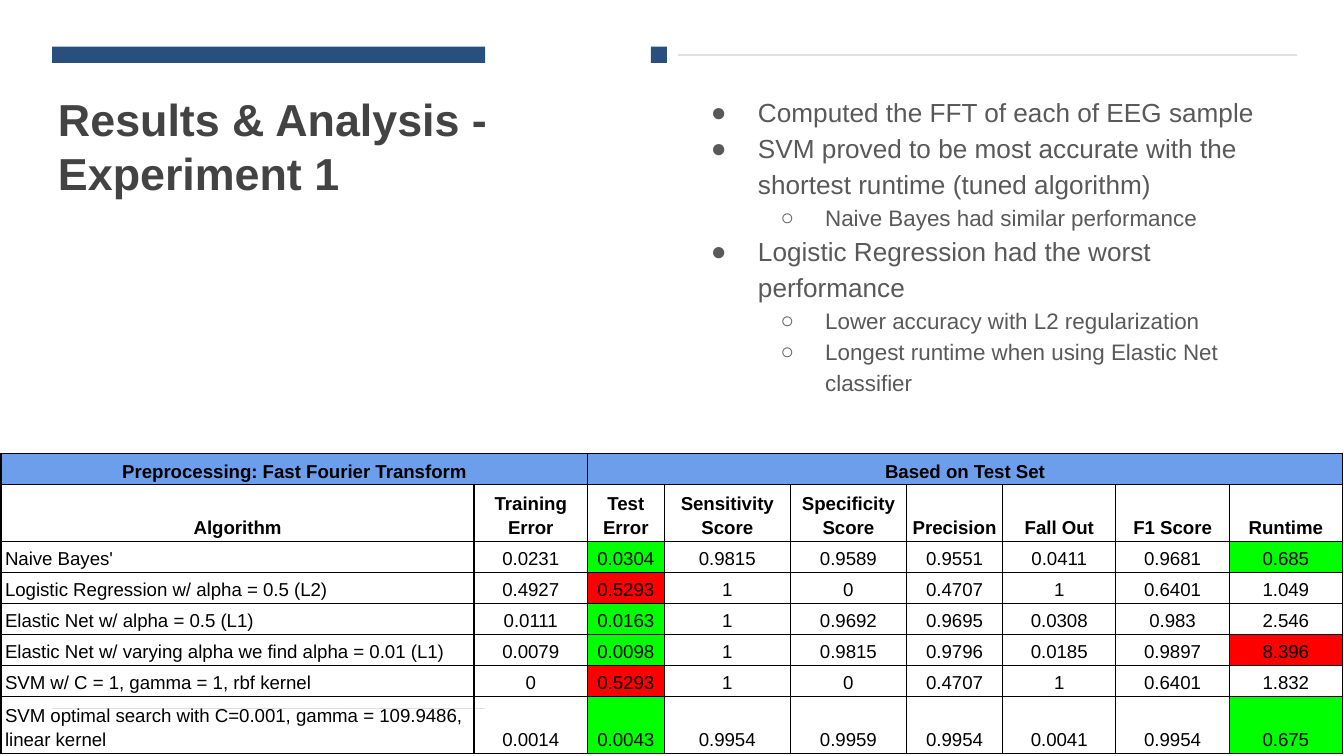
from lxml.etree import SubElement
from pptx import Presentation
from pptx.dml.color import RGBColor
from pptx.enum.shapes import MSO_CONNECTOR, MSO_SHAPE
from pptx.enum.text import MSO_ANCHOR, PP_ALIGN
from pptx.oxml.ns import qn
from pptx.util import Pt

NAVY = RGBColor(0x28, 0x4F, 0x7D)
RULE_GRAY = RGBColor(0xE0, 0xE0, 0xE0)
TITLE_GRAY = RGBColor(0x43, 0x43, 0x43)
BODY_GRAY = RGBColor(0x59, 0x59, 0x59)
HEADER_BLUE = RGBColor(0x6D, 0x9E, 0xEB)
BEST_GREEN = RGBColor(0x00, 0xFF, 0x00)
WORST_RED = RGBColor(0xFF, 0x00, 0x00)
BLACK = RGBColor(0x00, 0x00, 0x00)


def add_text_frame(page, left, top, width, height):
    frame = page.shapes.add_textbox(Pt(left), Pt(top), Pt(width), Pt(height)).text_frame
    frame.word_wrap = True
    frame.margin_left = frame.margin_right = Pt(7.2)
    frame.margin_top = frame.margin_bottom = Pt(7.2)
    return frame


def set_font(paragraph, size, color, bold=False):
    font = paragraph.font
    font.name = "Arial"
    font.size = Pt(size)
    font.bold = bold
    font.color.rgb = color


deck = Presentation()
deck.slide_width, deck.slide_height = Pt(720), Pt(405)
page = deck.slides.add_slide(deck.slide_layouts[6])

# Rules and accent bars
for left, right, y in [(28, 260, 379.6), (363.4, 695, 29.5)]:
    rule = page.shapes.add_connector(
        MSO_CONNECTOR.STRAIGHT, Pt(left), Pt(y), Pt(right), Pt(y))
    rule.line.color.rgb = RULE_GRAY
    rule.line.width = Pt(0.75)
    SubElement(rule._element.spPr, qn("a:effectLst"))

for left, width in [(348.7, 8.6), (28, 232)]:
    bar = page.shapes.add_shape(
        MSO_SHAPE.RECTANGLE, Pt(left), Pt(25), Pt(width), Pt(8.8))
    bar.shadow.inherit = False
    bar.fill.solid()
    bar.fill.fore_color.rgb = NAVY
    bar.line.fill.background()

# Title
title = add_text_frame(page, 24, 42, 247.7, 125).paragraphs[0]
title.text = "Results & Analysis - Experiment 1"
set_font(title, 24, TITLE_GRAY, bold=True)

# Findings: level and text
findings = [
    (0, "Computed the FFT of each of EEG sample"),
    (0, "SVM proved to be most accurate with the shortest runtime (tuned algorithm)"),
    (1, "Naive Bayes had similar performance"),
    (0, "Logistic Regression had the worst performance"),
    (1, "Lower accuracy with L2 regularization"),
    (1, "Longest runtime when using Elastic Net classifier"),
]
LEVELS = [(36, 25.2, "●", 14), (72, 23.8, "○", 12)]
body = add_text_frame(page, 363, 42, 342.7, 193)
for index, (level, text) in enumerate(findings):
    paragraph = body.paragraphs[0] if index == 0 else body.add_paragraph()
    paragraph.text = text
    paragraph.level = level
    paragraph.line_spacing = 1.15
    margin, hanging, bullet, size = LEVELS[level]
    properties = paragraph._p.get_or_add_pPr()
    properties.set("marL", str(Pt(margin)))
    properties.set("indent", str(-Pt(hanging)))
    bullet_color = SubElement(properties, qn("a:buClr"))
    SubElement(bullet_color, qn("a:srgbClr"), val=str(BODY_GRAY))
    SubElement(properties, qn("a:buFont"), typeface="Arial")
    SubElement(properties, qn("a:buChar"), char=bullet)
    set_font(paragraph, size, BODY_GRAY)

# Results table
rows = [
    ["Preprocessing: Fast Fourier Transform", "", "Based on Test Set"] + [""] * 6,
    ["Algorithm", "Training Error", "Test Error", "Sensitivity Score",
     "Specificity Score", "Precision", "Fall Out", "F1 Score", "Runtime"],
    ["Naive Bayes'", "0.0231", "0.0304", "0.9815", "0.9589",
     "0.9551", "0.0411", "0.9681", "0.685"],
    ["Logistic Regression w/ alpha = 0.5 (L2)", "0.4927", "0.5293", "1", "0",
     "0.4707", "1", "0.6401", "1.049"],
    ["Elastic Net w/ alpha = 0.5 (L1)", "0.0111", "0.0163", "1", "0.9692",
     "0.9695", "0.0308", "0.983", "2.546"],
    ["Elastic Net w/ varying alpha we find alpha = 0.01 (L1)", "0.0079", "0.0098",
     "1", "0.9815", "0.9796", "0.0185", "0.9897", "8.396"],
    ["SVM w/ C = 1, gamma = 1, rbf kernel", "0", "0.5293", "1", "0",
     "0.4707", "1", "0.6401", "1.832"],
    ["SVM optimal search with C=0.001, gamma = 109.9486, linear kernel", "0.0014",
     "0.0043", "0.9954", "0.9959", "0.9954", "0.0041", "0.9954", "0.675"],
]
column_widths = [253.5, 60.7, 41.2, 67.5, 62.3, 51.5, 60.7, 60.7, 60.7]
row_heights = [15.75, 28.75] + [15.75] * 5 + [28.75]
highlights = {(row, 2): BEST_GREEN for row in (2, 4, 5, 7)}
highlights |= {(row, 2): WORST_RED for row in (3, 6)}
highlights |= {(2, 8): BEST_GREEN, (5, 8): WORST_RED, (7, 8): BEST_GREEN}
highlights |= {(0, column): HEADER_BLUE for column in range(9)}

table = page.shapes.add_table(
    len(rows), len(column_widths), Pt(0.5), Pt(243),
    Pt(sum(column_widths)), Pt(sum(row_heights))).table
table.first_row = table.horz_banding = False
for column, width in zip(table.columns, column_widths):
    column.width = Pt(width)
for row, height in zip(table.rows, row_heights):
    row.height = Pt(height)

for row_index, texts in enumerate(rows):
    for column_index, text in enumerate(texts):
        cell = table.cell(row_index, column_index)
        cell.margin_left = cell.margin_right = Pt(2.2)
        cell.margin_top = cell.margin_bottom = Pt(1.4)
        cell.vertical_anchor = MSO_ANCHOR.BOTTOM
        cell.text = text
        paragraph = cell.text_frame.paragraphs[0]
        paragraph.line_spacing = 1.15
        is_name = row_index > 1 and column_index == 0
        paragraph.alignment = PP_ALIGN.LEFT if is_name else PP_ALIGN.CENTER
        set_font(paragraph, 10, BLACK, bold=row_index < 2)

        for side in ("lnL", "lnR", "lnT", "lnB"):
            border = SubElement(
                cell._tc.get_or_add_tcPr(), qn(f"a:{side}"), w=str(Pt(0.75)))
            border_fill = SubElement(border, qn("a:solidFill"))
            SubElement(border_fill, qn("a:srgbClr"), val=str(BLACK))
        if (row_index, column_index) in highlights:
            cell.fill.solid()
            cell.fill.fore_color.rgb = highlights[row_index, column_index]
        else:
            cell.fill.background()

table.cell(0, 0).merge(table.cell(0, 1))
table.cell(0, 2).merge(table.cell(0, 8))

deck.save("out.pptx")
